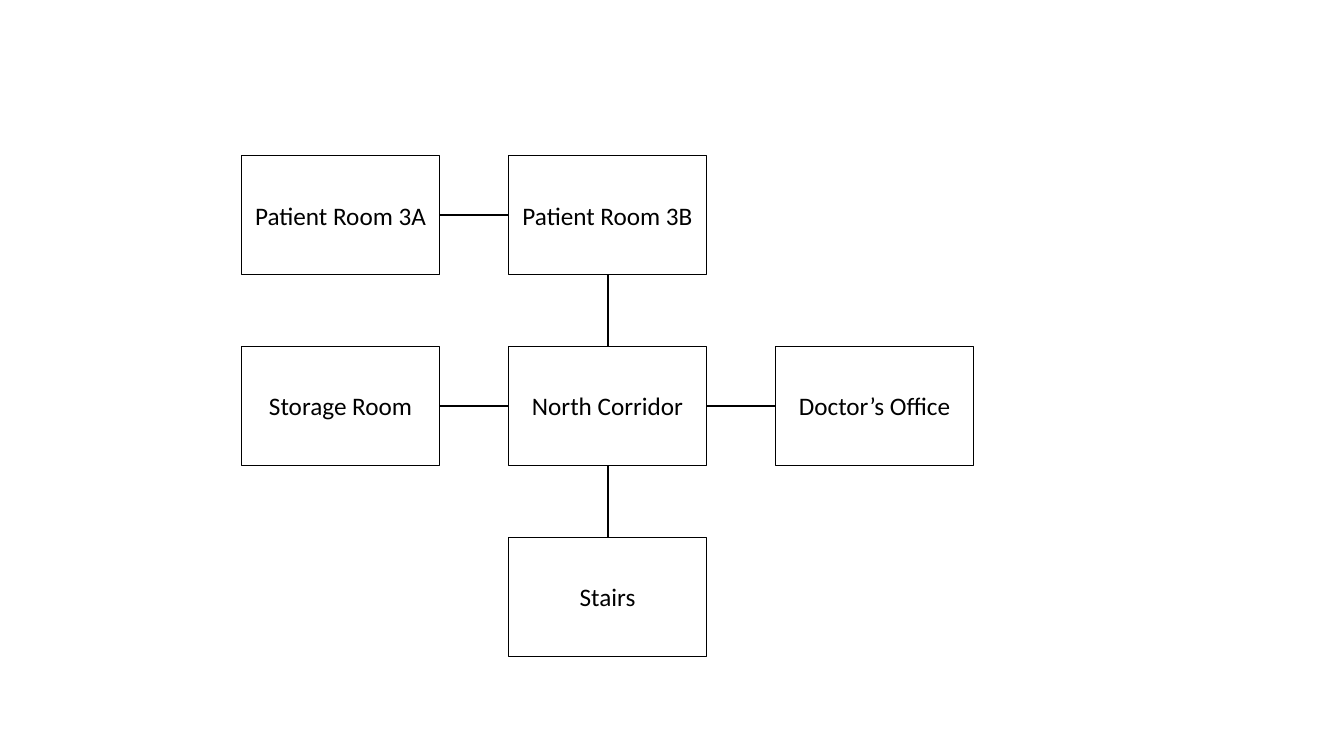
from pptx import Presentation
from pptx.dml.color import RGBColor
from pptx.enum.shapes import MSO_CONNECTOR as Connector, MSO_SHAPE as Shape
from pptx.enum.text import MSO_ANCHOR as Anchor, PP_ALIGN as Align
from pptx.oxml.ns import qn
from pptx.util import Pt
from lxml import etree


def paint(color, hex_code):
    color.rgb = RGBColor.from_string(hex_code)


deck = Presentation()
deck.slide_width, deck.slide_height = Pt(960), Pt(540)
page = deck.slides.add_slide(deck.slide_layouts[6])

# Rooms on a grid: name, column, row
LEFT, TOP = 172.4, 111
WIDTH, HEIGHT = 141.8, 85
COLUMN_STEP, ROW_STEP = 190.7, 136.4
rooms = [
    ("Patient Room 3A", 0, 0),
    ("Patient Room 3B", 1, 0),
    ("Storage Room", 0, 1),
    ("North Corridor", 1, 1),
    ("Doctor’s Office", 2, 1),
    ("Stairs", 1, 2),
]
boxes = {}
for name, column, row in rooms:
    box = page.shapes.add_shape(
        Shape.RECTANGLE,
        Pt(LEFT + column * COLUMN_STEP), Pt(TOP + row * ROW_STEP),
        Pt(WIDTH), Pt(HEIGHT))
    box.shadow.inherit = False
    box.fill.solid()
    paint(box.fill.fore_color, "FFFFFF")
    paint(box.line.color, "000000")
    box.line.width = Pt(1)
    frame = box.text_frame
    frame.word_wrap = True
    frame.vertical_anchor = Anchor.MIDDLE
    para = frame.paragraphs[0]
    para.text = name
    para.alignment = Align.CENTER
    span = para.runs[0]
    span.font.name, span.font.size = "Calibri", Pt(18)
    paint(span.font.color, "000000")
    boxes[name] = box

# Doors between rooms, joined at the facing sides
TOP_SIDE, LEFT_SIDE, BOTTOM_SIDE, RIGHT_SIDE = range(4)
across = (RIGHT_SIDE, LEFT_SIDE)
down = (BOTTOM_SIDE, TOP_SIDE)
doors = [
    ("Patient Room 3A", "Patient Room 3B", across),
    ("Storage Room", "North Corridor", across),
    ("North Corridor", "Doctor’s Office", across),
    ("Patient Room 3B", "North Corridor", down),
    ("North Corridor", "Stairs", down),
]
for start, end, (start_side, end_side) in doors:
    door = page.shapes.add_connector(Connector.STRAIGHT, 0, 0, 0, 0)
    door.begin_connect(boxes[start], start_side)
    door.end_connect(boxes[end], end_side)
    paint(door.line.color, "000000")
    door.line.width = Pt(1.5)
    etree.SubElement(door.element.spPr, qn("a:effectLst"))

deck.save("out.pptx")
